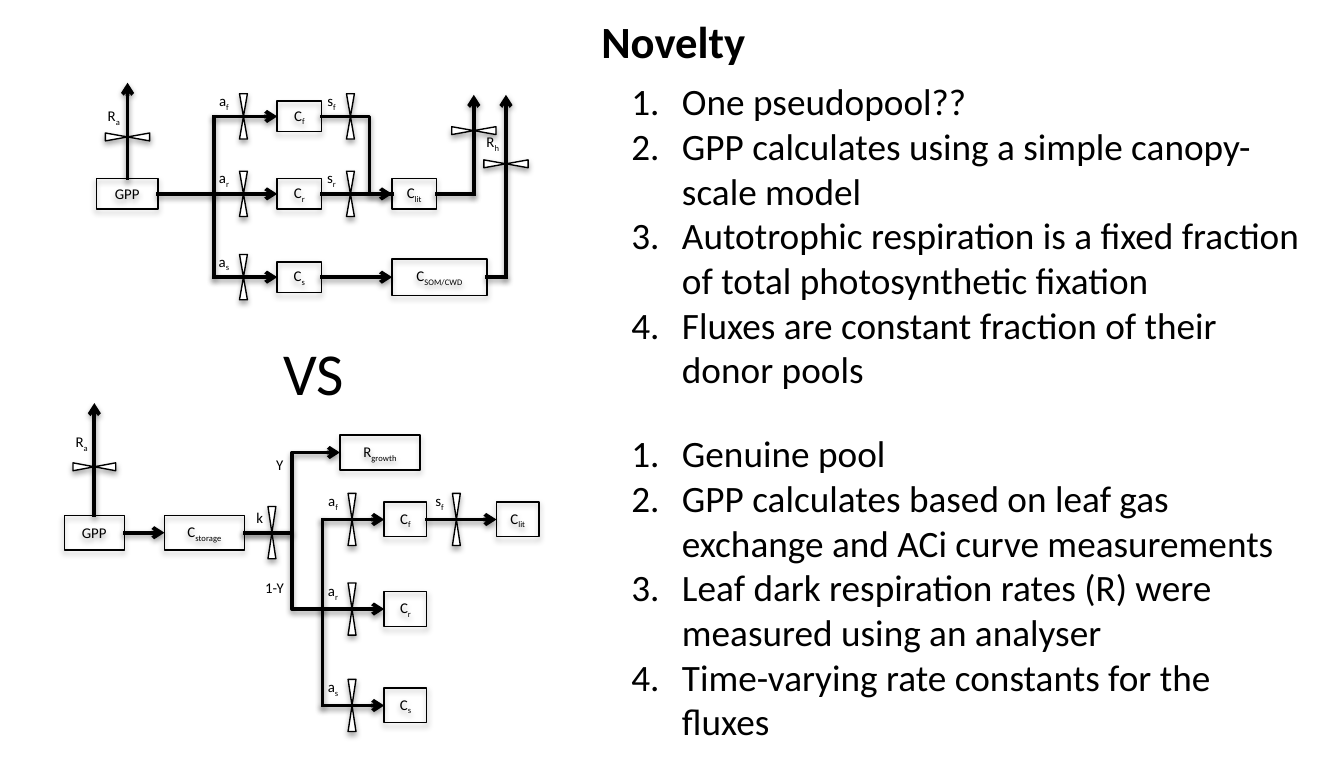
from lxml import etree
from pptx import Presentation
from pptx.dml.color import RGBColor
from pptx.enum.shapes import MSO_CONNECTOR, MSO_SHAPE
from pptx.enum.text import MSO_ANCHOR, PP_ALIGN
from pptx.oxml.ns import qn
from pptx.util import Cm, Pt

BLACK = RGBColor(0x00, 0x00, 0x00)
WHITE = RGBColor(0xFF, 0xFF, 0xFF)
RECTANGLE = MSO_SHAPE.RECTANGLE
VALVE = MSO_SHAPE.FLOWCHART_COLLATE
STRAIGHT = MSO_CONNECTOR.STRAIGHT
ELBOW = MSO_CONNECTOR.ELBOW
CENTER = PP_ALIGN.CENTER
LEFT = PP_ALIGN.LEFT
MIDDLE = MSO_ANCHOR.MIDDLE

POOL_ASSUMPTIONS = [
    "One pseudopool??",
    "GPP calculates using a simple canopy-scale model",
    "Autotrophic respiration is a fixed fraction of total photosynthetic fixation",
    "Fluxes are constant fraction of their donor pools",
]
POOL_MEASUREMENTS = [
    "Genuine pool",
    "GPP calculates based on leaf gas exchange and ACi curve measurements",
    "Leaf dark respiration rates (R) were measured using an analyser",
    "Time-varying rate constants for the fluxes",
]


class FluxSlide:
    font_name = "Calibri"
    label_size = 8
    valve_width = 0.15

    def __init__(self, presentation):
        self.slide = presentation.slides.add_slide(presentation.slide_layouts[6])

    def add_run(self, paragraph, text, size, bold=False, subscript=False):
        run = paragraph.add_run()
        run.text = text
        run.font.name = self.font_name
        run.font.size = Pt(size)
        run.font.bold = bold
        run.font.color.rgb = BLACK
        if subscript:
            run._r.get_or_add_rPr().set("baseline", "-25000")

    def add_shadow(self, effects, alpha, distance):
        shadow = etree.SubElement(
            effects, qn("a:outerShdw"), blurRad=str(Pt(3.1)), dist=str(Pt(distance)),
            dir="5400000", rotWithShape="0")
        color = etree.SubElement(shadow, qn("a:srgbClr"), val=str(BLACK))
        etree.SubElement(color, qn("a:alpha"), val=str(alpha * 1000))

    def text_box(self, left, top, width, height):
        shape = self.slide.shapes.add_textbox(Cm(left), Cm(top), Cm(width), Cm(height))
        shape.text_frame.word_wrap = True
        return shape

    def heading(self, text, left, top, width, height, size, alignment, bold=False):
        paragraph = self.text_box(left, top, width, height).text_frame.paragraphs[0]
        paragraph.alignment = alignment
        self.add_run(paragraph, text, size, bold)

    def numbered_list(self, items, top):
        frame = self.text_box(11.73, top, 13.26, 6.32).text_frame
        for index, item in enumerate(items):
            paragraph = frame.add_paragraph() if index else frame.paragraphs[0]
            properties = paragraph._p.get_or_add_pPr()
            properties.set("marL", str(Cm(0.96)))
            properties.set("indent", str(-Cm(0.96)))
            etree.SubElement(properties, qn("a:buAutoNum"), type="arabicPeriod")
            self.add_run(paragraph, item, 20)

    def symbol(self, shape, name, subscript):
        frame = shape.text_frame
        frame.word_wrap = True
        frame.vertical_anchor = MIDDLE
        frame.margin_left = frame.margin_right = frame.margin_top = frame.margin_bottom = 0
        paragraph = frame.paragraphs[0]
        paragraph.alignment = CENTER
        self.add_run(paragraph, name, self.label_size)
        if subscript:
            self.add_run(paragraph, subscript, self.label_size, subscript=True)

    def label(self, name, subscript, center_x, center_y):
        width, height = 0.96, 0.5
        shape = self.text_box(center_x - width / 2, center_y - height / 2, width, height)
        self.symbol(shape, name, subscript)

    def outlined(self, kind, left, middle, width, height):
        shape = self.slide.shapes.add_shape(
            kind, Cm(left), Cm(middle - height / 2), Cm(width), Cm(height))
        shape.line.color.rgb = BLACK
        shape.line.width = Pt(0.75)
        shape.shadow.inherit = False
        self.add_shadow(shape._element.spPr.find(qn("a:effectLst")), 35, 1.8)
        return shape

    def box(self, name, subscript, left, middle, width, height):
        shape = self.outlined(RECTANGLE, left, middle, width, height)
        shape.fill.background()
        self.symbol(shape, name, subscript)

    def valve(self, center_x, center_y, length, rotation=0):
        shape = self.outlined(
            VALVE, center_x - self.valve_width / 2, center_y, self.valve_width, length)
        shape.fill.solid()
        shape.fill.fore_color.rgb = WHITE
        shape.rotation = rotation

    def connector(self, kind, start, end, arrow=True, bend=None):
        connector = self.slide.shapes.add_connector(
            kind, *(Cm(value) for value in (*start, *end)))
        connector.line.color.rgb = BLACK
        connector.line.width = Pt(2)
        line = connector.line._get_or_add_ln()
        line.set("cap", "sq")
        if arrow:
            etree.SubElement(line, qn("a:tailEnd"), type="arrow")
        properties = connector._element.spPr
        if bend is not None:
            adjustments = properties.find(qn("a:prstGeom")).find(qn("a:avLst"))
            etree.SubElement(
                adjustments, qn("a:gd"), name="adj1", fmla=f"val {round(bend * 100000)}")
        self.add_shadow(etree.SubElement(properties, qn("a:effectLst")), 38, 1.6)

    def route(self, *points):
        legs = list(zip(points, points[1:]))
        for index, (start, end) in enumerate(legs, 1):
            self.connector(STRAIGHT, start, end, arrow=index == len(legs))

    def allocation(self, rows, fork, trunk, pool_left, pool_width, pool_height,
                   valve_x, valve_length, label_x, lift):
        for row in (rows["f"], rows["s"]):
            self.route((trunk, fork), (trunk, row), (pool_left, row))
        for pool, row in rows.items():
            self.box("C", pool, pool_left, row, pool_width, pool_height)
            self.valve(valve_x, row, valve_length)
            self.label("a", pool, label_x, row - lift)

    def pseudopool_diagram(self):
        rows = {"f": 2.21, "r": 3.68, "s": 5.26}
        foliage, root, stem = rows.values()
        height, valve_length, lift = 0.58, 0.86, 0.28
        self.route((3, root), (5.26, root))
        self.allocation(rows, root, 4.06, 5.26, 0.84, height, 4.62, valve_length, 4.25, lift)
        self.connector(ELBOW, (6.1, foliage), (7.44, root), arrow=False, bend=0.68)
        for row in (root, stem):
            self.route((6.1, row), (7.44, row))
        for pool in ("f", "r"):
            self.valve(6.65, rows[pool], valve_length)
            self.label("s", pool, 6.29, rows[pool] - lift)
        self.box("C", "lit", 7.44, root, 0.84, height)
        self.box("C", "SOM/CWD", 7.44, stem, 1.8, 0.69)
        for left, row, column, valve_y in ((8.28, root, 8.99, 2.48), (9.24, stem, 9.6, 3.11)):
            self.route((left, row), (column, row), (column, 1.8))
            self.valve(column, valve_y, 0.84, 90)
        self.label("R", "h", 9.35, 2.71)
        self.box("GPP", "", 1.83, root, 1.17, height)
        self.route((2.42, 3.39), (2.42, 1.57))
        self.label("R", "a", 2.16, 2.22)
        self.valve(2.42, 2.6, 0.84, 90)

    def storage_diagram(self):
        rows = {"f": 9.86, "r": 11.56, "s": 13.39}
        foliage, root, _ = rows.values()
        supply, growth = 10.11, 8.59
        height, valve_length, lift = 0.66, 0.99, 0.33
        self.box("C", "storage", 3.12, supply, 1.52, height)
        self.box("GPP", "", 1.22, supply, 1.14, height)
        self.route((2.36, supply), (3.12, supply))
        self.route((1.79, 9.78), (1.79, 7.65))
        self.label("R", "a", 1.55, 8.41)
        self.valve(1.79, 8.86, 0.81, 90)
        self.connector(ELBOW, (4.64, supply), (7.29, root), bend=0.34)
        self.connector(ELBOW, (4.64, supply), (6.45, growth), bend=0.5)
        self.valve(5.16, supply, valve_length)
        self.label("k", "", 4.93, 9.83)
        self.allocation(rows, root, 6.12, 7.29, 0.81, height, 6.68, valve_length, 6.32, lift)
        self.route((8.1, foliage), (9.42, foliage))
        self.valve(8.66, foliage, valve_length)
        self.label("s", "f", 8.34, foliage - lift)
        self.box("C", "lit", 9.42, foliage, 0.81, height)
        self.box("R", "growth", 6.45, growth, 1.52, height)
        self.label("Y", "", 5.31, 8.81)
        self.label("1-Y", "", 5.21, 11.15)


def main():
    presentation = Presentation()
    presentation.slide_width = Cm(25.5)
    presentation.slide_height = Cm(14.5)
    slide = FluxSlide(presentation)
    slide.heading("Novelty", 0.56, 0.14, 24.43, 1.24, 24, CENTER, bold=True)
    slide.numbered_list(POOL_ASSUMPTIONS, 1.37)
    slide.pseudopool_diagram()
    slide.heading("VS", 5.13, 6.25, 2.21, 1.65, 32, LEFT)
    slide.numbered_list(POOL_MEASUREMENTS, 8.05)
    slide.storage_diagram()
    presentation.save("out.pptx")


if __name__ == "__main__":
    main()
